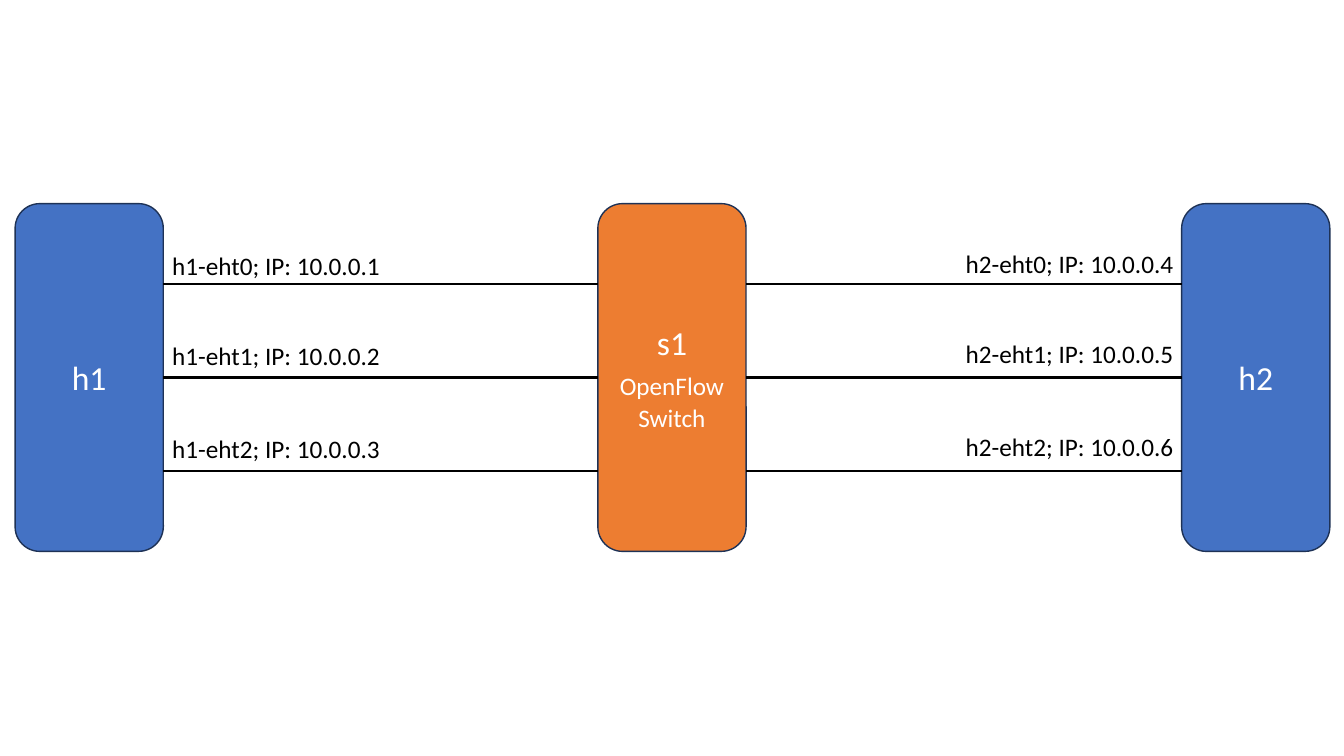
from dataclasses import dataclass

import pptx
import pptx.dml.color
import pptx.enum.shapes
import pptx.enum.text
import pptx.oxml.ns
import pptx.oxml.xmlchemy
import pptx.shapes.autoshape
import pptx.shapes.connector
import pptx.shapes.shapetree
import pptx.text.text
import pptx.util
from lxml import etree

Inches = pptx.util.Inches
Pt = pptx.util.Pt
Align = pptx.enum.text.PP_ALIGN
Run = tuple[str, int]


@dataclass(frozen=True)
class Theme:
    font: str = "Calibri"
    host: str = "4472C4"
    switch: str = "ED7D31"
    outline: str = "1E3256"
    node_text: str = "FFFFFF"
    ink: str = "000000"
    name_size: int = 24
    detail_size: int = 18
    outline_width: float = 1
    link_width: float = 1.5


@dataclass(frozen=True)
class Node:
    left: float
    fill: str
    paragraphs: list[list[Run]]


@dataclass(frozen=True)
class HostSide:
    host: str
    first_address: int
    label_left: float
    label_tops: tuple[float, ...]


THEME = Theme()
NODE_TOP, NODE_WIDTH, NODE_HEIGHT = 2.02, 1.47, 3.45
LABEL_WIDTH, LABEL_HEIGHT = 2.28, 0.4
LINK_LEVELS = (2.82, 3.75, 4.67)
MIDDLE_LINK = 1
LEFT_SITE, RIGHT_SITE = 1, 3

NODES = [
    Node(0.15, THEME.host, [[("h1", THEME.name_size)]]),
    Node(5.93, THEME.switch, [
        [("s1", THEME.name_size)],
        [("OpenFlow", THEME.detail_size), (" ", THEME.name_size),
         ("Switch", THEME.detail_size)],
    ]),
    Node(11.72, THEME.host, [[("h2", THEME.name_size)]]),
]
HOST_SIDES = [
    HostSide("h1", 1, 1.61, (2.43, 3.33, 4.25)),
    HostSide("h2", 4, 9.48, (2.41, 3.31, 4.23)),
]


def rgb(value: str) -> pptx.dml.color.RGBColor:
    return pptx.dml.color.RGBColor.from_string(value)


def write_text(frame: pptx.text.text.TextFrame, paragraphs: list[list[Run]], *,
               color: str, align: Align = Align.LEFT) -> None:
    for index, runs in enumerate(paragraphs):
        paragraph = frame.paragraphs[0] if index == 0 else frame.add_paragraph()
        paragraph.alignment = align
        for words, size in runs:
            run = paragraph.add_run()
            run.text = words
            run.font.name = THEME.font
            run.font.size = Pt(size)
            run.font.color.rgb = rgb(color)


def add_node(shapes: pptx.shapes.shapetree.SlideShapes,
             node: Node) -> pptx.shapes.autoshape.Shape:
    box = shapes.add_shape(
        pptx.enum.shapes.MSO_SHAPE.ROUNDED_RECTANGLE, Inches(node.left),
        Inches(NODE_TOP), Inches(NODE_WIDTH), Inches(NODE_HEIGHT))
    box.shadow.inherit = False
    box.fill.solid()
    box.fill.fore_color.rgb = rgb(node.fill)
    box.line.color.rgb = rgb(THEME.outline)
    box.line.width = Pt(THEME.outline_width)
    box.text_frame.word_wrap = True
    box.text_frame.vertical_anchor = pptx.enum.text.MSO_ANCHOR.MIDDLE
    write_text(box.text_frame, node.paragraphs, color=THEME.node_text,
               align=Align.CENTER)
    return box


def add_link(shapes: pptx.shapes.shapetree.SlideShapes, start: float,
             end: float, level: float) -> pptx.shapes.connector.Connector:
    link = shapes.add_connector(
        pptx.enum.shapes.MSO_CONNECTOR.STRAIGHT,
        Inches(start), Inches(level), Inches(end), Inches(level))
    link.line.color.rgb = rgb(THEME.ink)
    link.line.width = Pt(THEME.link_width)
    properties = link._element.spPr
    etree.SubElement(properties, pptx.oxml.ns.qn("a:effectLst"))
    return link


def add_interface_label(shapes: pptx.shapes.shapetree.SlideShapes, label: str,
                        left: float, top: float) -> None:
    frame = shapes.add_textbox(Inches(left), Inches(top), Inches(LABEL_WIDTH),
                               Inches(LABEL_HEIGHT)).text_frame
    frame.word_wrap = False
    frame.auto_size = pptx.enum.text.MSO_AUTO_SIZE.SHAPE_TO_FIT_TEXT
    write_text(frame, [[(label, THEME.detail_size)]], color=THEME.ink)


def main() -> None:
    deck = pptx.Presentation()
    deck.slide_width, deck.slide_height = Inches(13.33), Inches(7.5)
    shapes = deck.slides.add_slide(deck.slide_layouts[6]).shapes

    # Hosts and the switch between them
    boxes = [add_node(shapes, node) for node in NODES]

    # Three links between each pair of neighbours
    for index, (near, far) in enumerate(zip(NODES, NODES[1:])):
        for number, level in enumerate(LINK_LEVELS):
            link = add_link(shapes, near.left + NODE_WIDTH, far.left, level)
            if number == MIDDLE_LINK:
                link.begin_connect(boxes[index], RIGHT_SITE)
                link.end_connect(boxes[index + 1], LEFT_SITE)

    # Interface names and addresses
    for side in HOST_SIDES:
        for port, top in enumerate(side.label_tops):
            label = f"{side.host}-eht{port}; IP: 10.0.0.{side.first_address + port}"
            add_interface_label(shapes, label, side.label_left, top)

    deck.save("out.pptx")


if __name__ == "__main__":
    main()
